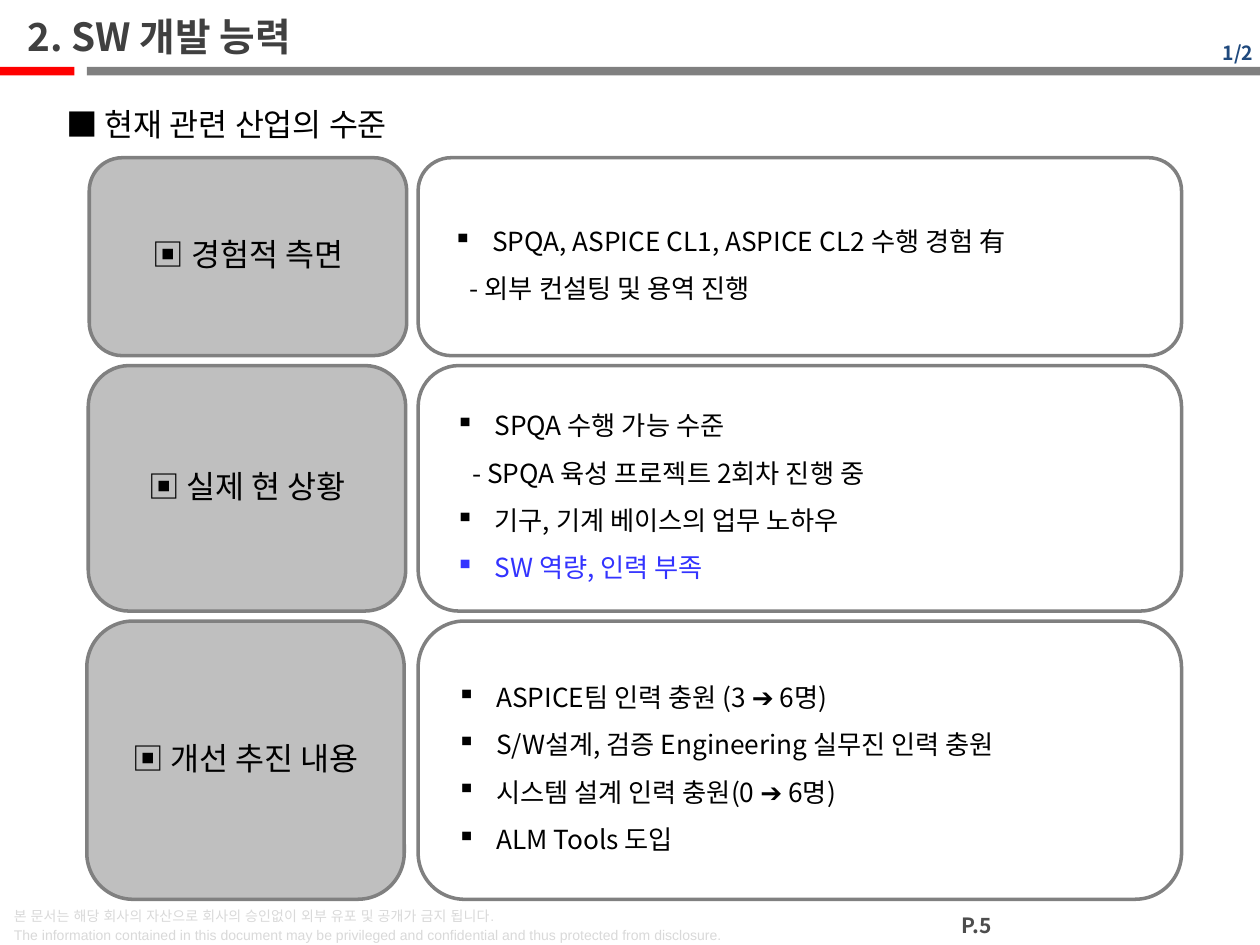
from lxml import etree
from pptx import Presentation
from pptx.dml.color import RGBColor
from pptx.enum.shapes import MSO_SHAPE as Shape
from pptx.enum.text import MSO_ANCHOR as Anchor, MSO_AUTO_SIZE as AutoSize, PP_ALIGN as Align
from pptx.oxml.ns import qn
from pptx.util import Cm, Pt

COLORS = {
    "red": "FF0000", "gray": "808080", "label": "BFBFBF", "title": "404040",
    "page": "4D4D4D", "footer": "D9D9D9", "navy": "1F497D", "black": "000000",
    "blue": "3333FF",
}
KOREAN = "Noto Sans CJK KR"


def write(shape, lines, size, color="black", font=KOREAN, bold=False, align=Align.LEFT,
          spacing=None, anchor=Anchor.TOP, insets=(0.25, 0.13, 0.25, 0.13), wrap=True):
    """Fill a shape with lines; "▪ " starts a bullet, "- " an indented line, "!" a blue one."""
    frame = shape.text_frame
    frame.auto_size = AutoSize.NONE
    frame.word_wrap = wrap
    frame.vertical_anchor = anchor
    frame.margin_left, frame.margin_top, frame.margin_right, frame.margin_bottom = map(Cm, insets)
    for index, line in enumerate(lines):
        para = frame.paragraphs[0] if index == 0 else frame.add_paragraph()
        para.alignment = align
        if spacing:
            para.line_spacing = spacing
        line_color = "blue" if line.startswith("!") else color
        line = line.lstrip("!")
        properties = para._p.get_or_add_pPr()
        if line.startswith("▪ "):
            line = line[2:]
            properties.set("marL", str(Cm(0.79)))
            properties.set("indent", str(Cm(-0.79)))
            etree.SubElement(properties, qn("a:buChar")).set("char", "▪")
        elif line.startswith("- "):
            properties.set("marL", str(Cm(0.34)))
        span = para.add_run()
        span.text = line
        span.font.name, span.font.size, span.font.bold = font, Pt(size), bold
        span.font.color.rgb = RGBColor.from_string(COLORS[line_color])
        latin = span.font._element.find(qn("a:latin"))
        east_asian = etree.Element(qn("a:ea"))
        east_asian.set("typeface", font)
        latin.addnext(east_asian)


def add_shape(kind, left, top, width, height, fill=None, line=None):
    shape = slide.shapes.add_shape(kind, Cm(left), Cm(top), Cm(width), Cm(height))
    shape.shadow.inherit = False
    if fill:
        shape.fill.solid()
        shape.fill.fore_color.rgb = RGBColor.from_string(COLORS[fill])
    else:
        shape.fill.background()
    if line:
        shape.line.color.rgb = RGBColor.from_string(COLORS[line])
        shape.line.width = Pt(2)
    else:
        shape.line.fill.background()
    return shape


deck = Presentation()
deck.slide_width, deck.slide_height = Cm(25.4), Cm(19.05)
slide = deck.slides.add_slide(deck.slide_layouts[5])

# Header
add_shape(Shape.RECTANGLE, 0, 1.35, 1.5, 0.17, fill="red")
add_shape(Shape.RECTANGLE, 1.75, 1.35, 23.65, 0.17, fill="gray")
title = slide.shapes.title
title.left, title.top, title.width, title.height = Cm(0.5), Cm(0.13), Cm(15.4), Cm(1.2)
write(title, ["2. SW 개발 능력"], 22.1, "title", bold=True, anchor=Anchor.MIDDLE,
      insets=(0.05, 0.13, 0.25, 0.13))
counter = add_shape(Shape.RECTANGLE, 23.75, 0.74, 1.7, 0.66)
write(counter, ["1/2"], 11.1, "navy", bold=True, align=Align.RIGHT, anchor=Anchor.MIDDLE,
      insets=(0.18, 0.1, 0.18, 0.1))
heading = slide.shapes.add_textbox(Cm(1.09), Cm(1.98), Cm(12.8), Cm(1))
write(heading, ["■ 현재 관련 산업의 수준"], 18, wrap=False)

# Rows: label left, top, height, label, details
rows = [
    (1.8, 3.18, 3.99, "▣ 경험적 측면", [
        "▪ SPQA, ASPICE CL1, ASPICE CL2 수행 경험 有",
        "- 외부 컨설팅 및 용역 진행",
    ]),
    (1.78, 7.37, 4.95, "▣ 실제 현 상황", [
        "▪ SPQA 수행 가능 수준",
        "- SPQA 육성 프로젝트 2회차 진행 중",
        "▪ 기구, 기계 베이스의 업무 노하우",
        "!▪ SW 역량, 인력 부족",
    ]),
    (1.75, 12.52, 5.61, "▣ 개선 추진 내용", [
        "▪ ASPICE팀 인력 충원 (3 ➔ 6명)",
        "▪ S/W설계, 검증 Engineering 실무진 인력 충원",
        "▪ 시스템 설계 인력 충원(0 ➔ 6명)",
        "▪ ALM Tools 도입",
    ]),
]
for left, top, height, label, details in rows:
    label_box = add_shape(Shape.ROUNDED_RECTANGLE, left, top, 6.4, height, "label", "gray")
    write(label_box, [label], 18, align=Align.CENTER, spacing=0.9, anchor=Anchor.MIDDLE,
          insets=(0, 0, 0, 0))
    detail_box = add_shape(Shape.ROUNDED_RECTANGLE, 8.43, top, 15.39, height, line="gray")
    write(detail_box, details, 15, spacing=1.5, anchor=Anchor.MIDDLE, insets=(0.51, 0, 0, 0))

# Footer
notice = slide.shapes.add_textbox(Cm(0.03), Cm(18.11), Cm(18.8), Cm(1.04))
write(notice, [
    "본 문서는 해당 회사의 자산으로 회사의 승인없이 외부 유포 및 공개가 금지 됩니다.",
    "The information contained in this document may be privileged and confidential "
    "and thus protected from disclosure.",
], 8, "footer", font="Arial", spacing=Pt(11))
page = slide.shapes.add_textbox(Cm(18.69), Cm(18.26), Cm(2), Cm(0.79))
write(page, ["P.5"], 12, "page", bold=True, align=Align.CENTER)

deck.save("out.pptx")
